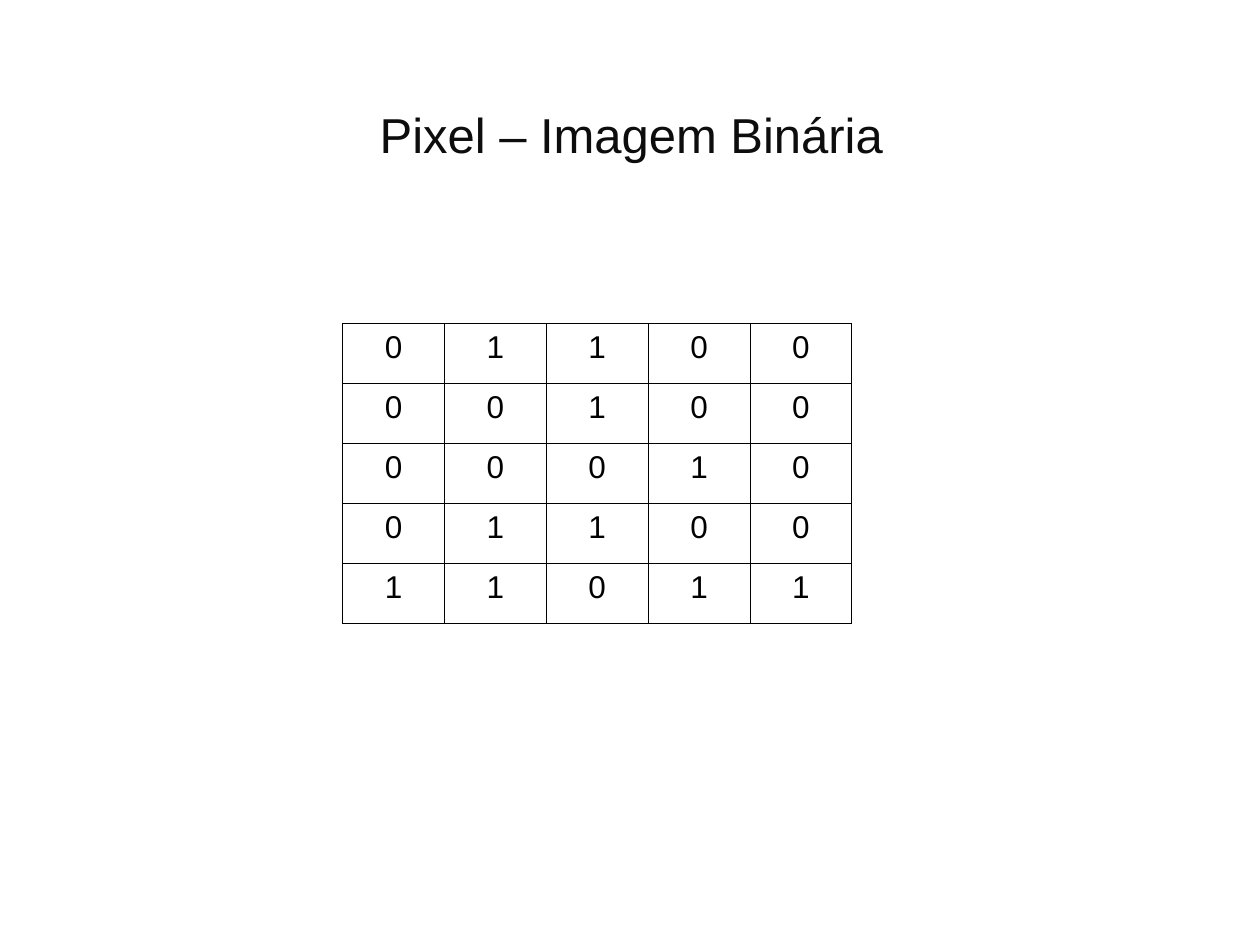
from lxml import etree
from pptx import Presentation
from pptx import util as u
from pptx.dml.color import RGBColor
from pptx.enum import text
from pptx.oxml.ns import qn

INK = {"title": "0D0D0D", "digit": "000000", "rule": "000000"}
BITS = ["01100", "00100", "00010", "01100", "11011"]


class Deck:
    """Holds the style and current slide; lengths are units of a 100 by 75 grid."""

    def __init__(self, font="Arial"):
        self.font = font
        self.prs = Presentation()
        self.prs.slide_width, self.prs.slide_height = u.Inches(10), u.Inches(7.5)
        self.unit = self.prs.slide_width / 100
        self.slide = self.prs.slides.add_slide(self.prs.slide_layouts[5])

    def span(self, *sizes):
        return [round(size * self.unit) for size in sizes]

    def label(self, frame, words, size, ink):
        frame.text = words
        para = frame.paragraphs[0]
        para.alignment = text.PP_ALIGN.CENTER
        para.font.name, para.font.size = self.font, u.Pt(size)
        para.font.color.rgb = RGBColor.from_string(INK[ink])

    def title(self, words, *box):
        shape = self.slide.shapes.title
        shape.left, shape.top, shape.width, shape.height = self.span(*box)
        shape.text_frame.vertical_anchor = text.MSO_ANCHOR.MIDDLE
        self.label(shape.text_frame, words, 28, "title")

    def border(self, cell, width):
        props = cell._tc.get_or_add_tcPr()
        for side in "LRTB":
            line = etree.SubElement(props, qn(f"a:ln{side}"), w=str(u.Pt(width)))
            fill = etree.SubElement(line, qn("a:solidFill"))
            etree.SubElement(fill, qn("a:srgbClr"), val=INK["rule"])

    def table(self, rows, left, top, wide, high):
        count, cols = len(rows), len(rows[0])
        box = self.span(left, top, wide * cols, high * count)
        grid = self.slide.shapes.add_table(count, cols, *box).table
        grid.first_row = grid.horz_banding = False
        for r, row in enumerate(rows):
            for c, digit in enumerate(row):
                cell = grid.cell(r, c)
                self.border(cell, 0.45)
                cell.fill.background()
                self.label(cell.text_frame, digit, 18, "digit")


def main():
    deck = Deck()
    deck.title("Pixel – Imagem Binária", 5.1, 6.3, 90, 8.6)
    deck.table(BITS, 27.2, 25.7, 8.08, 4.76)
    deck.prs.save("out.pptx")


if __name__ == "__main__":
    main()
